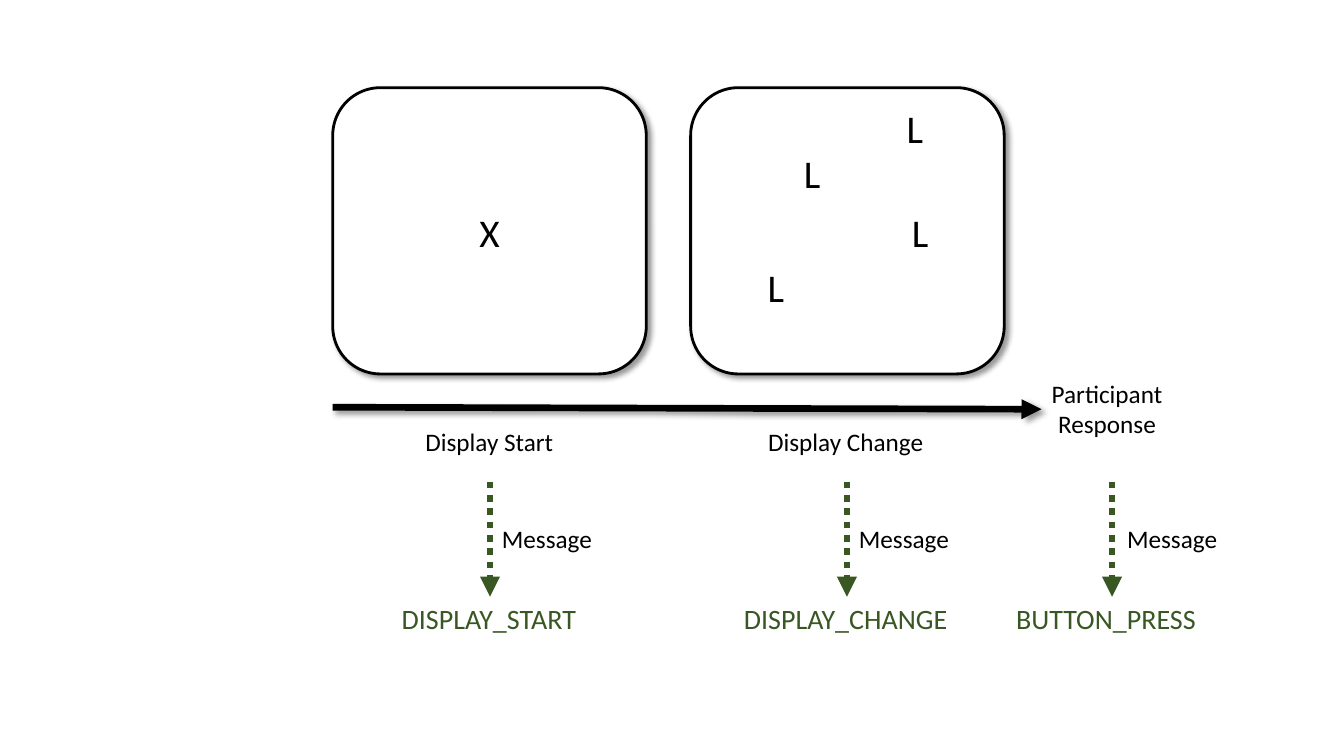
from lxml.etree import SubElement
from pptx import Presentation
from pptx.dml.color import RGBColor
from pptx.enum.dml import MSO_LINE
from pptx.enum.shapes import MSO_CONNECTOR, MSO_SHAPE
from pptx.enum.text import MSO_AUTO_SIZE, PP_ALIGN
from pptx.oxml.ns import qn
from pptx.util import Inches, Pt

FONT, BLACK, WHITE, GREEN = "Calibri", "000000", "FFFFFF", "385723"

# Content: screens with their symbols as (text, center x, center y)
screens = [
    (3.3, [("X", 4.86, 2.3)]),
    (6.85, [("L", 8.06, 1.72), ("L", 9.13, 2.3),
            ("L", 7.7, 2.85), ("L", 9.08, 1.27)]),
]
# Events: arrow x, text center x, label, label width, code, code width
events = [
    (4.86, 4.86, "Display Start", 1.48, "DISPLAY_START", 1.95),
    (8.4, 8.4, "Display Change", 1.76, "DISPLAY_CHANGE", 2.24),
    (11.03, 10.98, "Participant Response", 1.3, "BUTTON_PRESS", 2.0),
]

# Grid
TOP, WIDE, HIGH = 0.87, 3.11, 2.84
AXIS, LABEL, START, NOTE, END, CODE = 4.04, 4.38, 4.78, 5.34, 5.92, 6.14

deck = Presentation()
deck.slide_width, deck.slide_height = Inches(13.33), Inches(7.5)
slide = deck.slides.add_slide(deck.slide_layouts[6])
shapes = slide.shapes


def color(text):
    return RGBColor.from_string(text)


def write(text, x, y, w, h=0.4, size=18, ink=BLACK, wrap=False):
    """Place text around the center x, y."""
    box = shapes.add_textbox(Inches(x - w / 2), Inches(y - h / 2),
                             Inches(w), Inches(h))
    frame = box.text_frame
    frame.word_wrap = wrap
    frame.auto_size = MSO_AUTO_SIZE.SHAPE_TO_FIT_TEXT
    para = frame.paragraphs[0]
    para.alignment = PP_ALIGN.CENTER if wrap else PP_ALIGN.LEFT
    run = para.add_run()
    run.text = text
    font = run.font
    font.name, font.size, font.color.rgb = FONT, Pt(size), color(ink)


def effect(shape, shadow):
    props = shape._element.spPr
    for old in props.findall(qn("a:effectLst")):
        props.remove(old)
    group = SubElement(props, qn("a:effectLst"))
    if shadow:
        drop = SubElement(group, qn("a:outerShdw"), blurRad=str(Pt(4)),
                          dist=str(Pt(3)), dir=str(45 * 60000),
                          algn="tl", rotWithShape="0")
        tint = SubElement(drop, qn("a:srgbClr"), val=BLACK)
        SubElement(tint, qn("a:alpha"), val="40000")


def arrow(x1, y1, x2, y2, ink=BLACK, dash=None, shadow=False):
    link = shapes.add_connector(MSO_CONNECTOR.STRAIGHT, Inches(x1), Inches(y1),
                                Inches(x2), Inches(y2))
    line = link.line
    line.color.rgb, line.width = color(ink), Pt(4.75)
    if dash:
        line.dash_style = dash
    SubElement(link._element.spPr.find(qn("a:ln")), qn("a:tailEnd"),
               type="triangle")
    effect(link, shadow)


# Screens
for left, marks in screens:
    card = shapes.add_shape(MSO_SHAPE.ROUNDED_RECTANGLE, Inches(left),
                            Inches(TOP), Inches(WIDE), Inches(HIGH))
    card.fill.solid()
    card.fill.fore_color.rgb = color(WHITE)
    card.line.color.rgb, card.line.width = color(BLACK), Pt(2)
    effect(card, True)
    for mark, x, y in marks:
        write(mark, x, y, 0.41 if mark == "X" else 0.37, 0.57, size=28)

# Time axis
arrow(screens[0][0], AXIS, 10.33, AXIS + 0.02, shadow=True)

# Events and their messages
for x, mid, label, wide, code, span in events:
    last = label == events[-1][2]
    write(label, mid, 4.06 if last else LABEL, wide,
          0.71 if last else 0.4, wrap=last)
    arrow(x, START, x, END, ink=GREEN, dash=MSO_LINE.ROUND_DOT)
    write("Message", x + (0.6 if last else 0.57), NOTE, 1.1)
    write(code, mid, CODE, span, 0.44, size=20, ink=GREEN)

deck.save("out.pptx")
